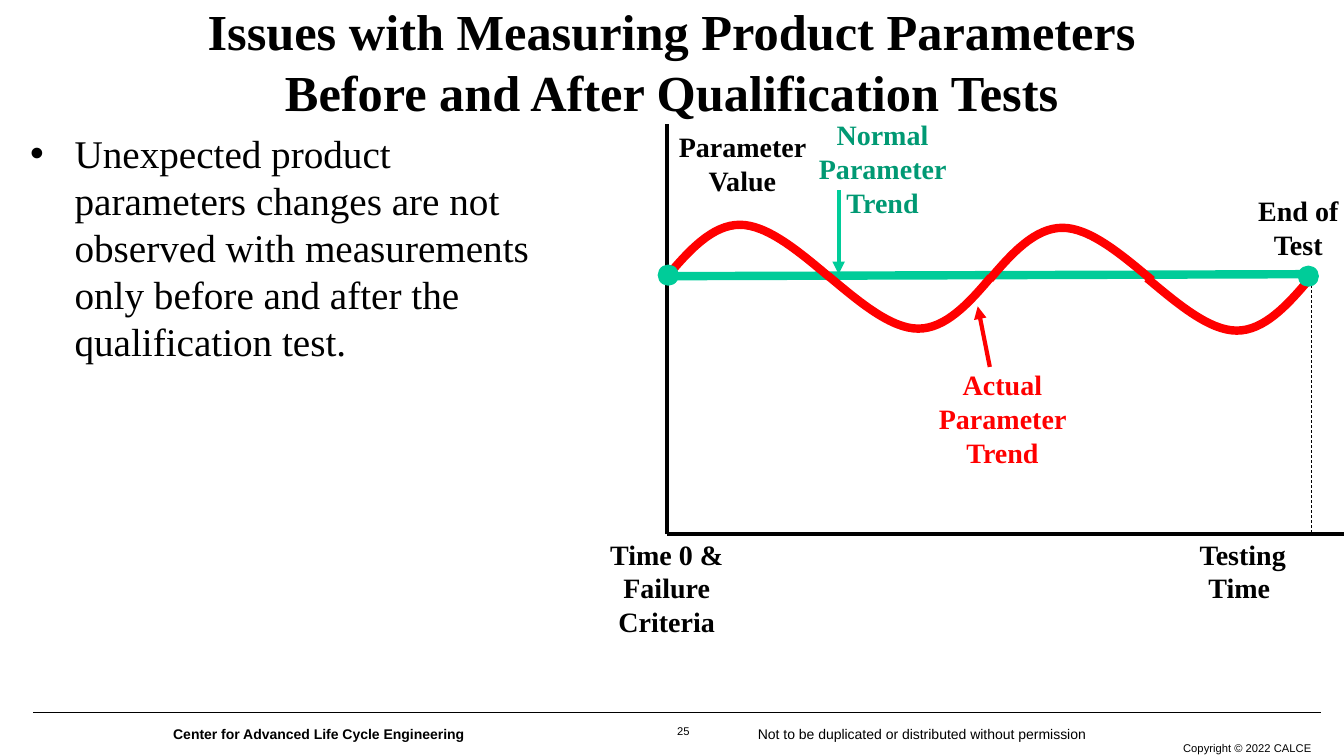
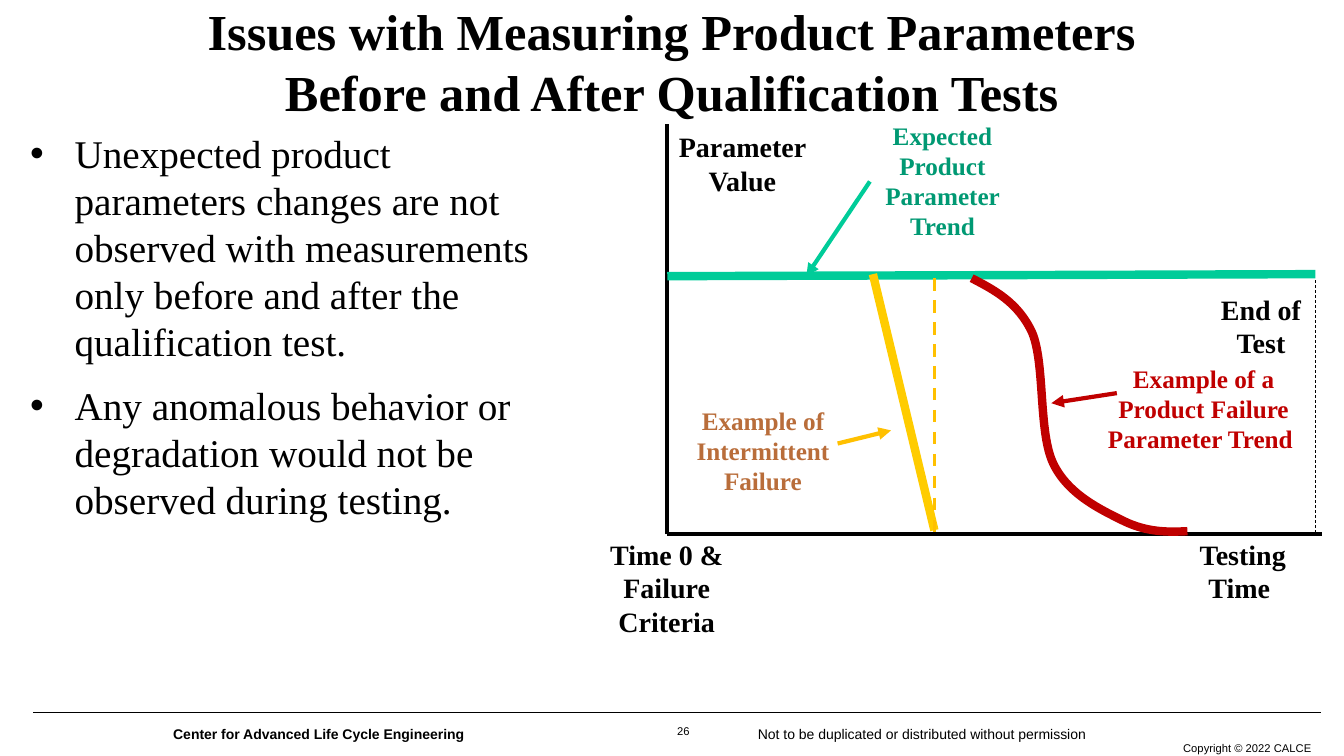
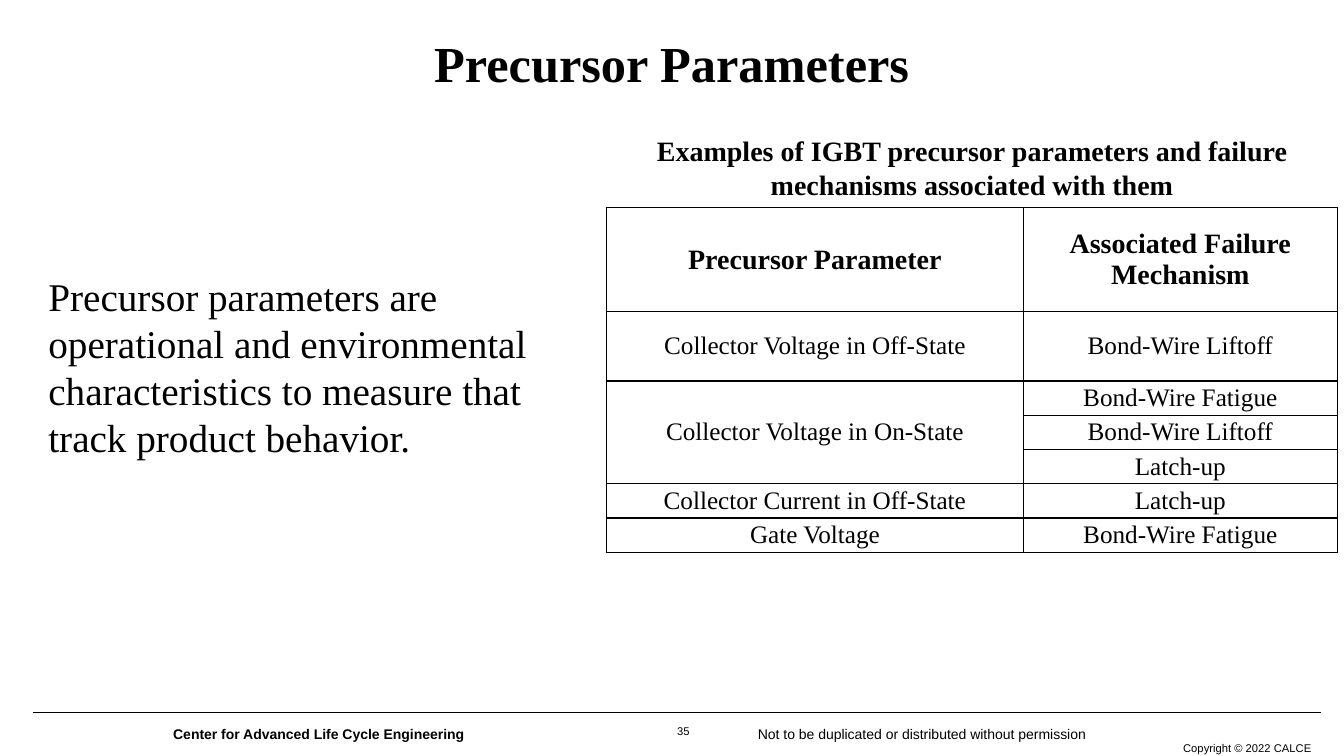
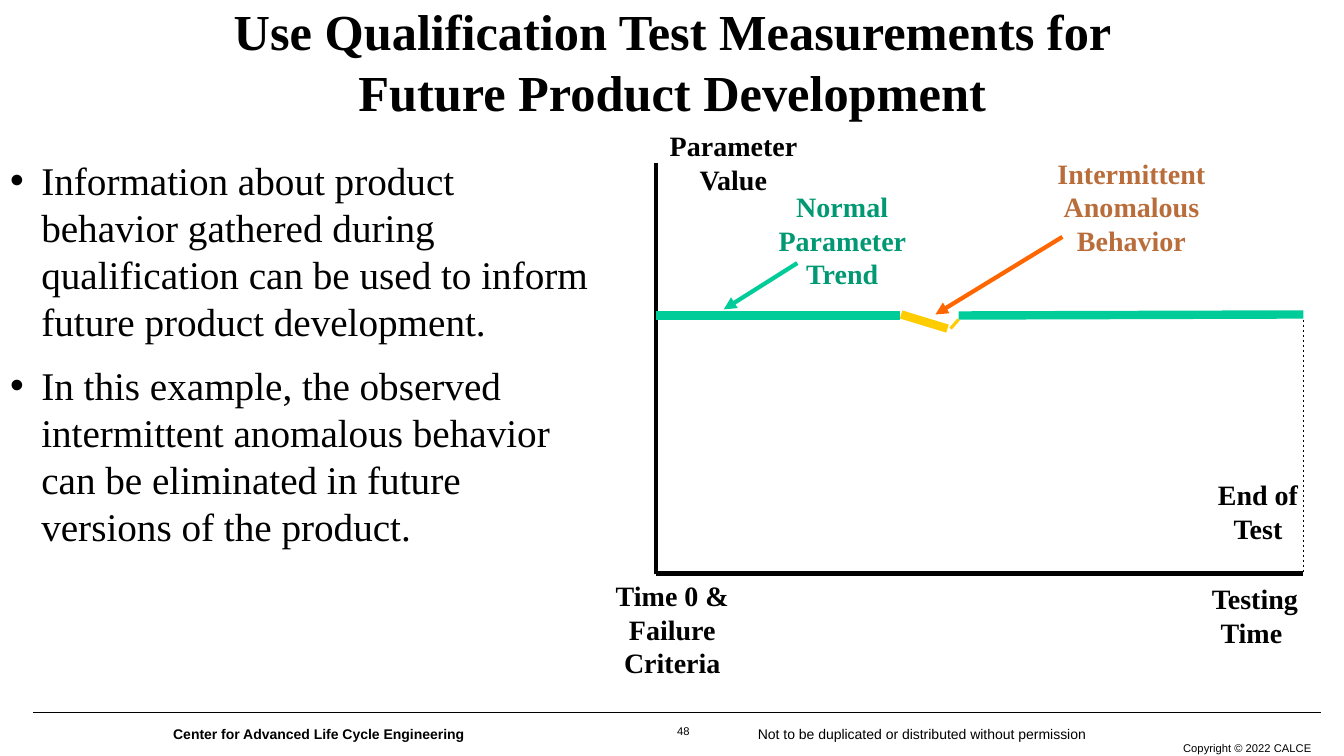
from dataclasses import dataclass
from typing import Optional, Sequence

import pptx
import pptx.dml.color
import pptx.enum.dml
import pptx.enum.shapes
import pptx.enum.text
import pptx.oxml
import pptx.oxml.ns
import pptx.presentation
import pptx.shapes.autoshape
import pptx.shapes.connector
import pptx.slide
import pptx.text.text
import pptx.util
from lxml import etree

Inches = pptx.util.Inches
Pt = pptx.util.Pt
qn = pptx.oxml.ns.qn
ALIGN = pptx.enum.text.PP_ALIGN
ANCHOR = pptx.enum.text.MSO_ANCHOR
AUTO_SIZE = pptx.enum.text.MSO_AUTO_SIZE
Slide = pptx.slide.Slide
Deck = pptx.presentation.Presentation
Shape = pptx.shapes.autoshape.Shape
Point = tuple[float, float]
Frame = tuple[float, float, float, float]


# Theme: every colour, font and type size
@dataclass(frozen=True)
class Theme:
    serif: str = "Times New Roman"
    sans: str = "Arial"
    black: str = "000000"
    white: str = "FFFFFF"
    green: str = "00CC99"
    green_text: str = "009973"
    red: str = "FF0000"
    dark_red: str = "C00000"
    yellow: str = "FFCC00"
    amber: str = "FFC000"
    orange: str = "FF6600"
    brown: str = "B96D3A"
    title: int = 36
    body: int = 28
    label: int = 20
    small_label: int = 18
    footer: int = 10
    fine: int = 8
    trend_width: float = 6
    axis_width: float = 3
    thin_width: float = 2.25


THEME = Theme()


# Repeated elements
@dataclass(frozen=True)
class Label:
    text: str
    frame: Frame
    color: str = THEME.black
    size: int = THEME.label
    bold: bool = True
    font: str = THEME.serif
    align: ALIGN = ALIGN.CENTER
    line_spacing: Optional[float] = None


@dataclass(frozen=True)
class Stroke:
    start: Point
    end: Point
    color: str = THEME.black
    width: float = THEME.axis_width
    arrow: bool = False
    dashed: bool = False


@dataclass(frozen=True)
class Curve:
    start: Point
    controls: Sequence[Point]  # three points for each Bézier segment
    color: str


def rgb(color: str) -> pptx.dml.color.RGBColor:
    return pptx.dml.color.RGBColor.from_string(color)


def place(shape, frame: Frame) -> None:
    shape.left, shape.top, shape.width, shape.height = map(Inches, frame)


def style(para: pptx.text.text._Paragraph, size: int, color: str = THEME.black,
          bold: bool = False, font: str = THEME.serif) -> None:
    para.font.name = font
    para.font.size = Pt(size)
    para.font.bold = bold
    para.font.color.rgb = rgb(color)


# Drawing functions
def draw_label(page: Slide, label: Label) -> Shape:
    box = page.shapes.add_textbox(*map(Inches, label.frame))
    box.text_frame.word_wrap = True
    box.text_frame.auto_size = AUTO_SIZE.SHAPE_TO_FIT_TEXT
    para = box.text_frame.paragraphs[0]
    para.text = label.text
    para.alignment = label.align
    if label.line_spacing:
        para.line_spacing = label.line_spacing
    style(para, label.size, label.color, label.bold, label.font)
    return box


def draw_stroke(page: Slide, stroke: Stroke) -> pptx.shapes.connector.Connector:
    connector = page.shapes.add_connector(
        pptx.enum.shapes.MSO_CONNECTOR.STRAIGHT,
        *map(Inches, stroke.start + stroke.end))
    connector.line.color.rgb = rgb(stroke.color)
    connector.line.width = Pt(stroke.width)
    if stroke.dashed:
        connector.line.dash_style = pptx.enum.dml.MSO_LINE.DASH
    properties = connector.element.spPr
    if stroke.arrow:
        etree.SubElement(properties.find(qn("a:ln")), qn("a:tailEnd"), type="triangle")
    etree.SubElement(properties, qn("a:effectLst"))
    return connector


def draw_curve(page: Slide, curve: Curve) -> None:
    builder = page.shapes.build_freeform(*map(Inches, curve.start))
    builder.add_line_segments([(Inches(x), Inches(y)) for x, y in curve.controls],
                              close=False)
    shape = builder.convert_to_shape()
    # Join every three straight segments into one Bézier segment
    segments = list(shape.element.iter(qn("a:lnTo")))
    for first in range(0, len(segments), 3):
        bend = etree.Element(qn("a:cubicBezTo"))
        segments[first].addprevious(bend)
        for segment in segments[first:first + 3]:
            bend.append(segment[0])
            segment.getparent().remove(segment)
    shape.shadow.inherit = False
    shape.fill.background()
    shape.line.color.rgb = rgb(curve.color)
    shape.line.width = Pt(THEME.trend_width)


def draw_dot(page: Slide, left: float, top: float, size: float = 0.2) -> None:
    dot = page.shapes.add_shape(pptx.enum.shapes.MSO_SHAPE.OVAL,
                                *map(Inches, (left, top, size, size)))
    dot.shadow.inherit = False
    dot.fill.solid()
    dot.fill.fore_color.rgb = rgb(THEME.green)
    dot.line.color.rgb = rgb(THEME.green)
    dot.line.width = Pt(0.75)


def draw_diagram(page: Slide, strokes: Sequence[Stroke], labels: Sequence[Label],
                 curves: Sequence[Curve] = (), dots: Sequence[Point] = ()) -> None:
    for stroke in strokes:
        draw_stroke(page, stroke)
    for curve in curves:
        draw_curve(page, curve)
    for dot in dots:
        draw_dot(page, *dot)
    for label in labels:
        draw_label(page, label)


def axes(origin: Point, right: float, test_end: Point, test_bottom: float) -> list[Stroke]:
    """Both axes and the dashed line that marks the end of the test."""
    x, y = origin
    return [Stroke(origin, (x, round(y - 4.07, 2))),
            Stroke(origin, (right, y)),
            Stroke(test_end, (test_end[0], test_bottom), width=0.5, dashed=True)]


def axis_labels(value: Point, zero: Frame, time: Point, end: Point) -> list[Label]:
    return [Label("Parameter Value", (*value, 1.47, 0.77)),
            Label("Time 0 & Failure Criteria", zero),
            Label("Testing Time ", (*time, 1.1, 0.77)),
            Label("End of Test", (*end, 1.12, 0.77))]


def half_wave(x: float, y: float, direction: int) -> Curve:
    """A crest drawn rightwards (1) or a trough drawn leftwards (-1)."""
    offsets = ((0.22, -0.26), (0.45, -0.51), (0.72, -0.51),
               (0.99, -0.51), (1.3, -0.25), (1.61, 0.01))
    return Curve((x, y), [(x + direction * dx, y + direction * dy) for dx, dy in offsets],
                 THEME.red)


# Page frame: title, body text and footer
def write_body(page: Slide, frame: Frame, texts: Sequence[str],
               indent: float, hanging: float) -> None:
    body = page.placeholders[1]
    place(body, frame)
    body.text_frame.auto_size = AUTO_SIZE.NONE
    body.text_frame.text = "\n".join(texts)
    for index, para in enumerate(body.text_frame.paragraphs):
        para.space_before = Pt(6 if index else 0)
        para.space_after = Pt(6)
        properties = para._p.get_or_add_pPr()
        properties.set("marL", str(Inches(indent)))
        properties.set("indent", str(-Inches(hanging)))
        if hanging:
            etree.SubElement(properties, qn("a:buFont"), typeface=THEME.sans)
            etree.SubElement(properties, qn("a:buChar"), char="•")
        else:
            etree.SubElement(properties, qn("a:buNone"))
        style(para, THEME.body)


def add_page(deck: Deck, number: int, title: str, title_frame: Frame) -> Slide:
    page = deck.slides.add_slide(deck.slide_layouts[1])
    heading = page.shapes.title
    place(heading, title_frame)
    heading.text_frame.auto_size = AUTO_SIZE.NONE
    heading.text_frame.vertical_anchor = ANCHOR.MIDDLE
    heading.text_frame.text = title
    para = heading.text_frame.paragraphs[0]
    para.alignment = ALIGN.CENTER
    style(para, THEME.title, bold=True)
    draw_label(page, Label(str(number), (6.61, 7.16, 0.34, 0.22), size=THEME.fine,
                           bold=False, font=THEME.sans, line_spacing=0.85))
    return page


def move_footer_to_layout(page: Slide) -> None:
    """Draw the footer once and hand it to the layout that all pages use."""
    rule = draw_stroke(page, Stroke((0.33, 7.07), (13.11, 7.07), width=1))
    rights = draw_label(page, Label("Copyright © 2022 CALCE", (11.03, 7.31, 2.08, 0.24),
                                    size=THEME.fine, bold=False, font=THEME.sans,
                                    align=ALIGN.RIGHT))
    credit = page.shapes.add_textbox(*map(Inches, (1.62, 7.15, 9.67, 0.27)))
    credit.text_frame.word_wrap = True
    para = credit.text_frame.paragraphs[0]
    tabs = etree.SubElement(para._p.get_or_add_pPr(), qn("a:tabLst"))
    etree.SubElement(tabs, qn("a:tab"), pos=str(Inches(5.8)), algn="l")
    style(para, THEME.footer, font=THEME.sans)
    for text, bold in (("Center for Advanced Life Cycle Engineering\t", True),
                       ("Not to be duplicated or distributed without permission", False)):
        span = para.add_run()
        span.text = text
        span.font.bold = bold
    for shape in (rule, rights, credit):
        page.slide_layout.shapes.element.append(shape.element)


# Table
def border_cell(cell, width: float = 1) -> None:
    properties = cell._tc.get_or_add_tcPr()
    for side in ("a:lnL", "a:lnR", "a:lnT", "a:lnB"):
        edge = etree.SubElement(properties, qn(side), w=str(Pt(width)))
        fill = etree.SubElement(edge, qn("a:solidFill"))
        etree.SubElement(fill, qn("a:srgbClr"), val=THEME.black)


def draw_table(page: Slide, frame: Frame, widths: Sequence[float],
               heights: Sequence[float], rows: Sequence[tuple[str, str]]) -> None:
    table = page.shapes.add_table(len(rows), len(widths), *map(Inches, frame)).table
    table.first_row = table.horz_banding = False
    for column, width in zip(table.columns, widths):
        column.width = Inches(width)
    for row, height in zip(table.rows, heights):
        row.height = Inches(height)
    for r, texts in enumerate(rows):
        for c, text in enumerate(texts):
            cell = table.cell(r, c)
            border_cell(cell)
            cell.fill.solid()
            cell.fill.fore_color.rgb = rgb(THEME.white)
            cell.vertical_anchor = ANCHOR.MIDDLE
            cell.margin_left = cell.margin_right = Inches(0.07)
            cell.margin_top = cell.margin_bottom = 0
            para = cell.text_frame.paragraphs[0]
            para.text = text
            para.alignment = ALIGN.CENTER
            style(para, THEME.small_label if r else THEME.label, bold=r == 0)
    table.cell(2, 0).merge(table.cell(4, 0))


# Content shared by the two measuring-issue slides
ISSUES_TITLE = "Issues with Measuring Product Parameters Before and After Qualification Tests"
ISSUES_TITLE_FRAME = (1.32, -0.02, 10.69, 1.25)
ISSUES_BODY_FRAME = (0.14, 1.23, 5.62, 5.4)
UNSEEN_CHANGES = ("Unexpected product parameters changes are not observed with "
                  "measurements only before and after the qualification test.")
ISSUES_ORIGIN = (6.62, 5.3)
ISSUES_TREND = Stroke((6.62, 2.74), (13.05, 2.72), THEME.green, THEME.trend_width)


def issues_labels(end: Point) -> list[Label]:
    return axis_labels((6.63, 1.24), (5.73, 5.28, 1.77, 1.11), (11.78, 5.28), end)


# Slides
def add_oscillation_slide(deck: Deck) -> None:
    page = add_page(deck, 25, ISSUES_TITLE, ISSUES_TITLE_FRAME)
    move_footer_to_layout(page)
    write_body(page, ISSUES_BODY_FRAME, [UNSEEN_CHANGES], 0.5, 0.44)
    draw_diagram(
        page,
        strokes=[
            *axes(ISSUES_ORIGIN, 13.33, (13.01, 2.78), 5.28),
            Stroke((8.32, 1.89), (8.32, 2.72), THEME.green, arrow=True),
            ISSUES_TREND,
            Stroke((9.82, 3.64), (9.7, 3.04), THEME.red, arrow=True),
        ],
        curves=[half_wave(6.62, 2.74, 1), half_wave(9.83, 2.75, -1),
                half_wave(9.82, 2.77, 1), half_wave(12.99, 2.77, -1)],
        dots=[(6.53, 2.63), (12.88, 2.64)],
        labels=[
            *issues_labels((12.32, 1.87)),
            Label("Normal Parameter Trend", (7.95, 1.12, 1.61, 1.11), THEME.green_text),
            Label("Actual Parameter Trend", (9.14, 3.6, 1.61, 1.11), THEME.red),
        ])


def add_failure_slide(deck: Deck) -> None:
    page = add_page(deck, 26, ISSUES_TITLE, ISSUES_TITLE_FRAME)
    write_body(page, ISSUES_BODY_FRAME, [
        UNSEEN_CHANGES,
        "Any anomalous behavior or degradation would not be observed during testing.",
    ], 0.5, 0.44)
    failure = Curve((9.64, 2.76), [
        (9.87, 2.88), (10.1, 3), (10.24, 3.3),
        (10.37, 3.61), (10.3, 4.29), (10.45, 4.6),
        (10.6, 4.91), (10.93, 5.06), (11.15, 5.17),
        (11.38, 5.28), (11.58, 5.28), (11.78, 5.27)], THEME.dark_red)
    draw_diagram(
        page,
        strokes=[
            *axes(ISSUES_ORIGIN, 13.12, (13.05, 2.78), 5.28),
            Stroke((8.63, 1.8), (8, 2.74), THEME.green, arrow=True),
            Stroke((11.08, 3.9), (10.43, 4), THEME.dark_red, arrow=True),
            ISSUES_TREND,
            Stroke((8.66, 2.72), (9.27, 5.26), THEME.yellow, THEME.trend_width),
            Stroke((8.31, 4.4), (8.84, 4.27), THEME.amber, arrow=True),
            Stroke((9.27, 2.76), (9.27, 5.3), THEME.amber, THEME.thin_width, dashed=True),
        ],
        curves=[failure],
        labels=[
            *issues_labels((11.95, 2.85)),
            Label("Example of a Product Failure Parameter Trend ",
                  (10.85, 3.55, 2.18, 1.01), THEME.dark_red, THEME.small_label),
            Label("Expected Product Parameter Trend",
                  (8.52, 1.14, 1.66, 1.31), THEME.green_text, THEME.small_label),
            Label("Example of Intermittent Failure",
                  (6.74, 3.97, 1.66, 1.01), THEME.brown, THEME.small_label),
        ])


def add_precursor_slide(deck: Deck) -> None:
    page = add_page(deck, 35, "Precursor Parameters", (0, 0, 13.33, 1.23))
    write_body(page, (0.38, 2.65, 5.12, 2.2), [
        "Precursor parameters are operational and environmental characteristics "
        "to measure that track product behavior."], 0, 0)
    draw_label(page, Label("Examples of IGBT precursor parameters and failure "
                           "mechanisms associated with them", (6.16, 1.28, 6.97, 0.77)))
    draw_table(page, (6.02, 2.06, 7.25, 3.42), (4.13, 3.12), (1.03, 0.69, *[0.34] * 5), [
        ("Precursor Parameter", "Associated Failure Mechanism"),
        ("Collector Voltage in Off-State", "Bond-Wire Liftoff"),
        ("Collector Voltage in On-State", "Bond-Wire Fatigue"),
        ("", "Bond-Wire Liftoff"),
        ("", "Latch-up"),
        ("Collector Current in Off-State", "Latch-up"),
        ("Gate Voltage", "Bond-Wire Fatigue"),
    ])


def add_development_slide(deck: Deck) -> None:
    page = add_page(deck, 48, "Use Qualification Test Measurements for Future "
                    "Product Development", (1.71, -0.02, 9.92, 1.25))
    write_body(page, (0, 1.5, 6.01, 4.68), [
        "Information about product behavior gathered during qualification can be "
        "used to inform future product development.",
        "In this example, the observed intermittent anomalous behavior can be "
        "eliminated in future versions of the product.",
    ], 0.31, 0.31)
    draw_diagram(
        page,
        strokes=[
            *axes((6.51, 5.69), 12.93, (12.93, 3.17), 5.69),
            Stroke((7.91, 2.61), (7.18, 3.07), THEME.green, arrow=True),
            Stroke((6.51, 3.13), (8.93, 3.13), THEME.green, THEME.trend_width),
            Stroke((8.94, 3.12), (9.4, 3.26), THEME.yellow, THEME.trend_width),
            Stroke((9.43, 3.26), (9.51, 3.17), THEME.yellow, THEME.thin_width),
            Stroke((9.51, 3.13), (12.93, 3.12), THEME.green, THEME.trend_width),
            Stroke((10.54, 2.35), (9.28, 3.12), THEME.orange, arrow=True),
        ],
        labels=[
            *axis_labels((6.54, 1.23), (5.67, 5.69, 2, 1.11), (11.9, 5.72), (11.92, 4.69)),
            Label("Normal Parameter Trend", (7.55, 1.83, 1.61, 1.11), THEME.green_text),
            Label("Intermittent Anomalous Behavior", (10.33, 1.5, 1.79, 1.11), THEME.brown),
        ])


def main() -> None:
    deck = pptx.Presentation()
    deck.slide_width, deck.slide_height = Inches(40 / 3), Inches(7.5)
    add_oscillation_slide(deck)
    add_failure_slide(deck)
    add_precursor_slide(deck)
    add_development_slide(deck)
    deck.save("out.pptx")


if __name__ == "__main__":
    main()
